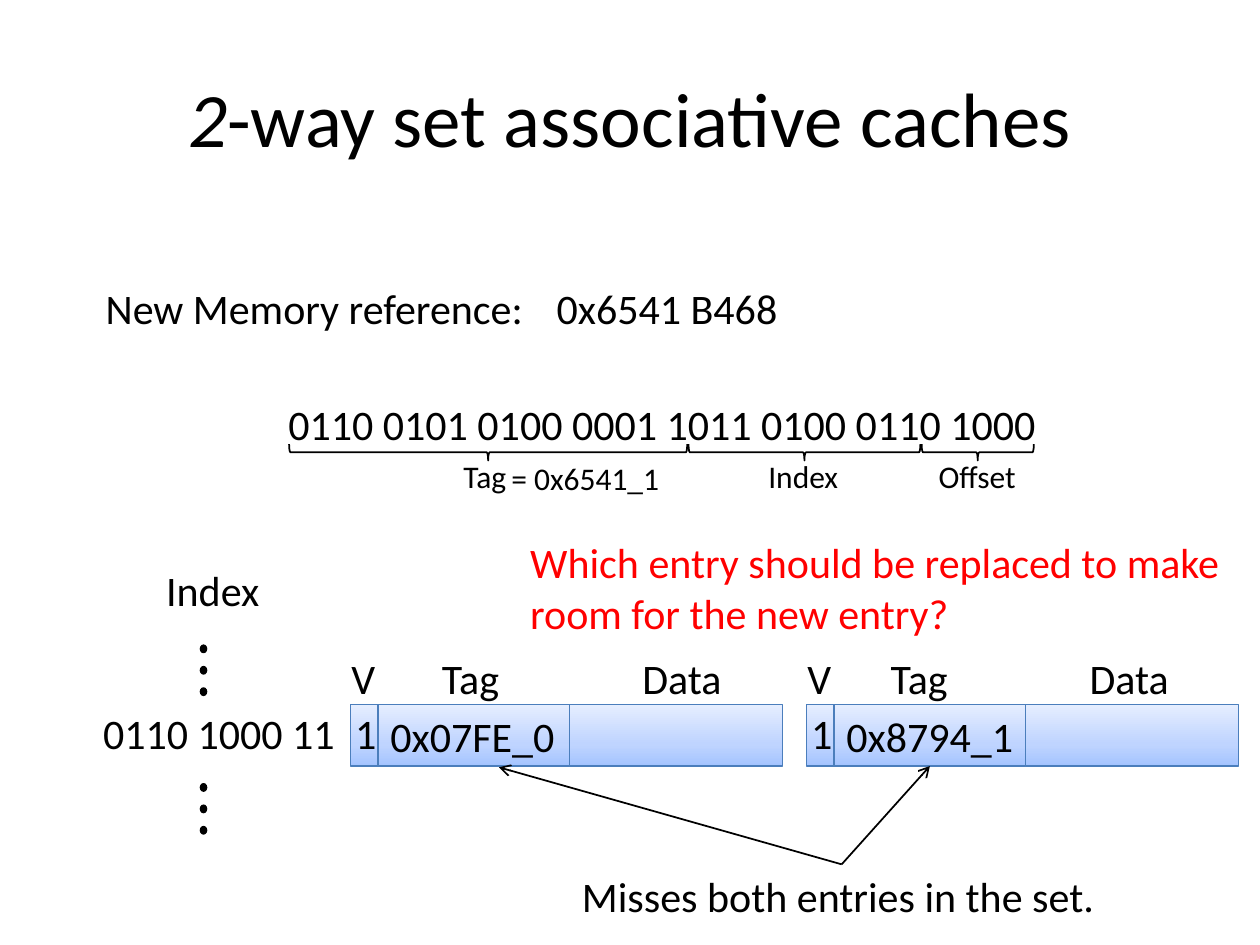
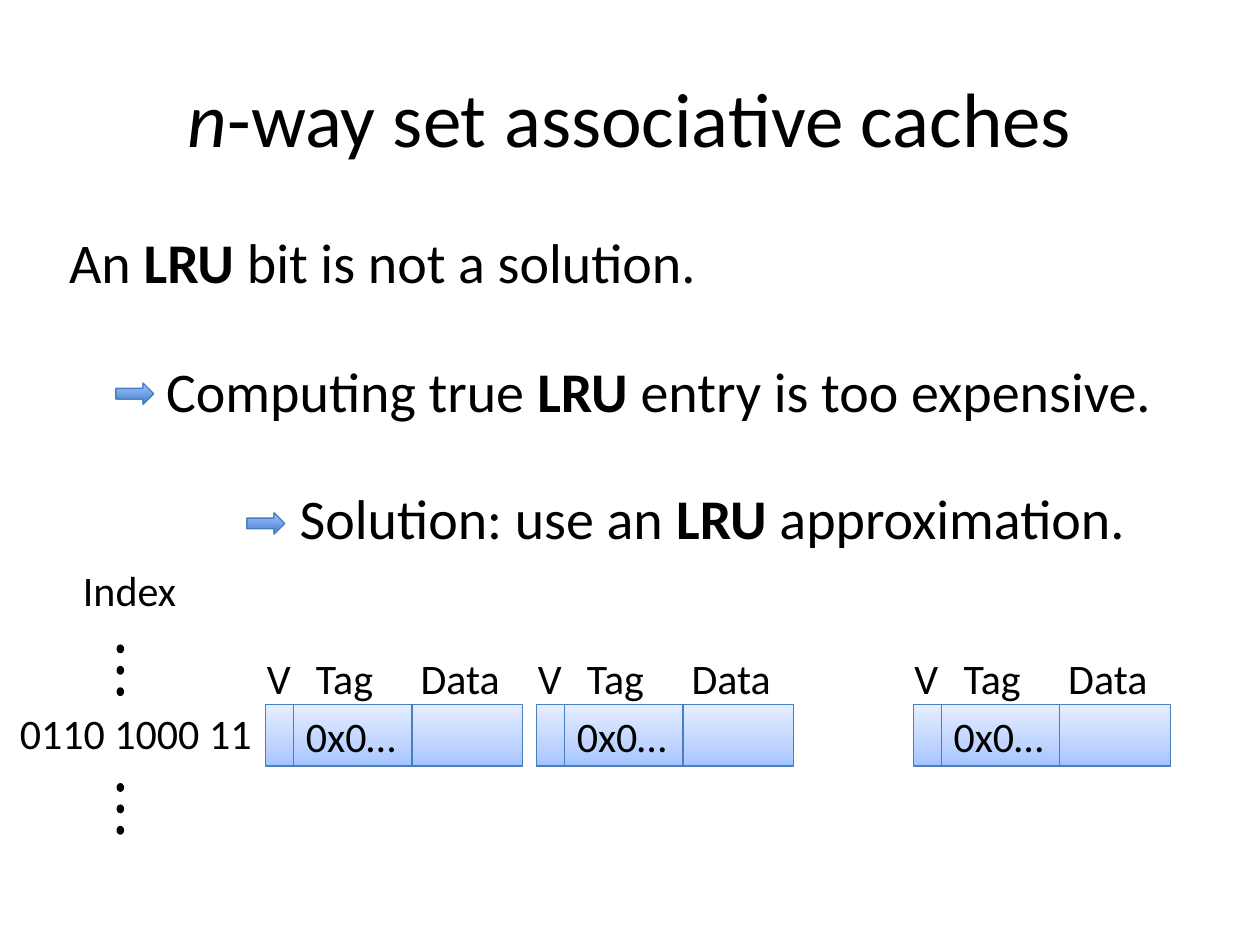
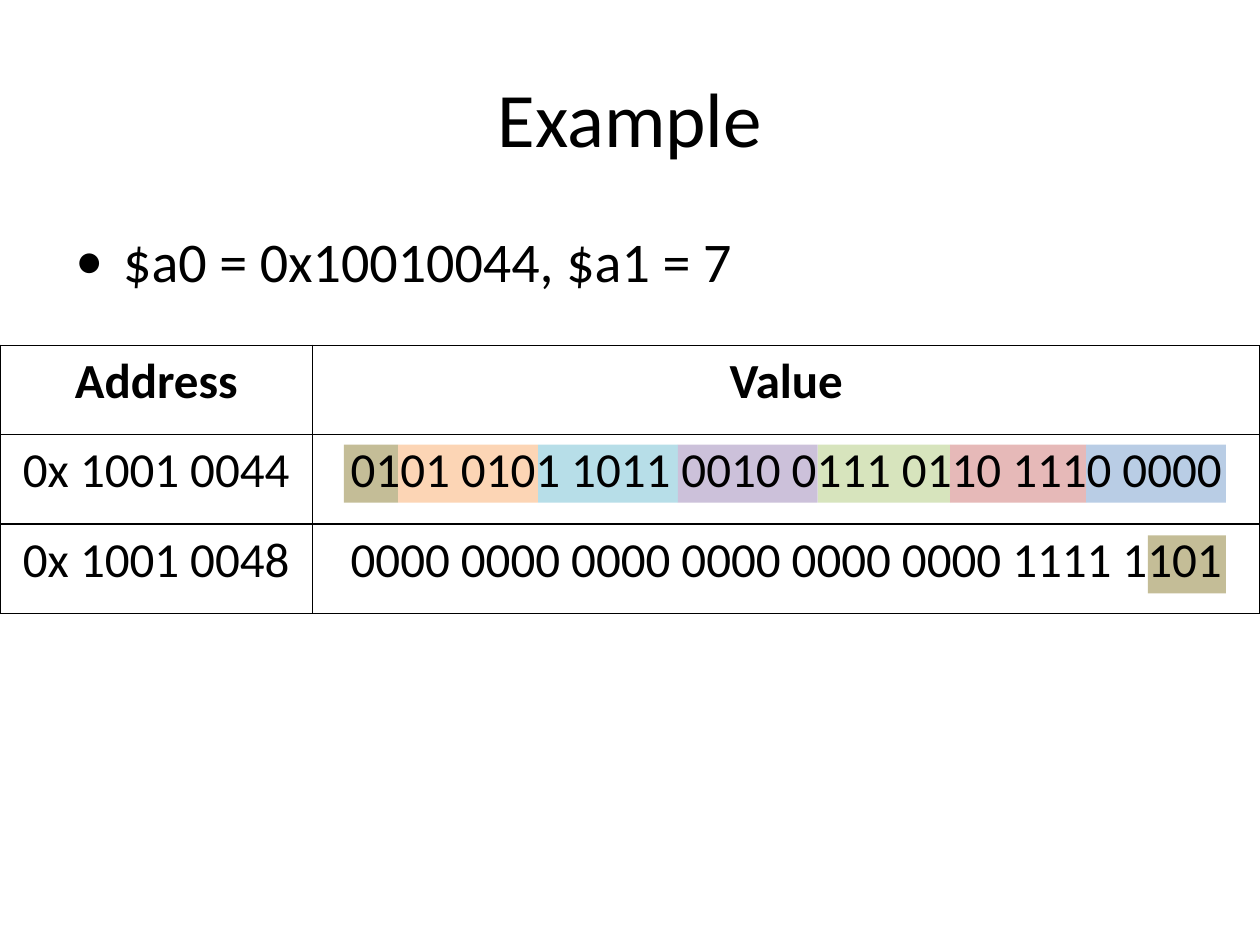
import pptx
import pptx.util
import pptx.dml.color
import pptx.enum.shapes
import pptx.enum.text
import pptx.oxml.ns
from lxml import etree

Inches, Pt = pptx.util.Inches, pptx.util.Pt
SHAPE = pptx.enum.shapes.MSO_SHAPE
ALIGN = pptx.enum.text.PP_ALIGN
ANCHOR = pptx.enum.text.MSO_ANCHOR
qn = pptx.oxml.ns.qn

W, H = 10, 7.5
FONT = "Calibri"
COLORS = {
    "text": "000000", "alert": "FF0000", "edge": "4B7EBC",
    "tan": "C4BD97", "orange": "FCD5B5", "aqua": "B7DEE8", "purple": "CCC1DA",
    "green": "D7E4BD", "red": "E6B9B8", "blue": "B9CDE5",
}
CELL_GRADIENT = [(0, "A4C4FF"), (35, "BFD4FF"), (100, "E6EEFF")]
ARROW_GRADIENT = [(0, "3F80CE"), (100, "A4C4FF")]

TITLES = [
    [("2", "i"), ("-way set associative caches", "")],
    [("n", "i"), ("-way set associative caches", "")],
    [("Example", "")],
]
INDEX = "0110 1000 11"
LABEL_WIDTHS = {"V": 0.4, "Tag": 0.66, "Data": 0.84}
ROW_TOP, ROW_H, LABEL_TOP, VALID_W = 5.59, 0.49, 5.13, 0.22

REFERENCE = [
    ("New Memory reference:", 0.74, 2.19, 3.55),
    ("0x6541 B468", 4.32, 2.19, 1.97),
    ("0110 0101 0100 0001 1011 0100 0110 1000", 2.19, 3.11, 6.19),
    ("Misses both entries in the set.", 4.52, 6.86, 4.31),
]
FIELD_EDGES = [2.29, 5.46, 7.31, 8.21]
FIELDS = [("Tag", 3.58, 0.54), ("Index", 6, 0.76), ("Offset", 7.35, 0.82)]
TWO_WAYS = [
    {"left": 2.78, "tag": "0x07FE_0", "text_w": 1.52, "valid": "1",
     "labels": (-0.09, 0.63, 2.22)},
    {"left": 6.4, "tag": "0x8794_1", "text_w": 1.56, "valid": "1",
     "labels": (-0.09, 0.57, 2.15)},
]
N_WAYS = [2.11, 4.26, 7.25]
MISS_FROM = (6.68, 6.86)
MISS_TO = [(3.96, 6.09), (7.38, 6.08)]

LRU_LINES = [
    ("An", "bit is not a solution.", 0.45, 1.76, 5.23),
    ("Computing true", "entry is too expensive.", 1.22, 2.78, 8.1),
    ("Solution: use an", "approximation.", 2.28, 3.79, 6.82),
]
LRU_ARROWS = [(0.92, 3.04), (1.96, 4.07)]

TABLE = [
    ("Address", "Value"),
    ("0x 1001 0044", "0101 0101 1011 0010 0111 0110 1110 0000"),
    ("0x 1001 0048", "0000 0000 0000 0000 0000 0000 1111 1101"),
]
COLUMNS, TABLE_TOP, TABLE_ROW = (2.48, 7.52), 2.74, 0.71
BAND_EDGES = [2.73, 3.16, 4.27, 5.38, 6.49, 7.54, 8.62, 9.73]
BANDS = ["tan", "orange", "aqua", "purple", "green", "red", "blue"]


def rgb(name):
    return pptx.dml.color.RGBColor.from_string(COLORS[name])


def style(p, size, color="text", bold=False):
    p.font.name, p.font.size, p.font.bold = FONT, Pt(size), bold
    p.font.color.rgb = rgb(color)


def add_text(slide, lines, x, y, w, size=24, color="text", h=None, wrap=False):
    lines = [lines] if isinstance(lines, str) else lines
    height = h or len(lines) * size / 60 + 0.1
    tb = slide.shapes.add_textbox(Inches(x), Inches(y), Inches(w), Inches(height))
    tf = tb.text_frame
    tf.word_wrap = wrap
    for i, line in enumerate(lines):
        p = tf.add_paragraph() if i else tf.paragraphs[0]
        style(p, size, color)
        for text, flag in [(line, "")] if isinstance(line, str) else line:
            r = p.add_run()
            r.text = text
            if flag == "i":
                r.font.italic = True
            if flag == "b":
                r.font.bold = True
    return tf


def add_shape(slide, kind, x, y, w, h, fill=None, line=None, weight=0.75):
    sp = slide.shapes.add_shape(kind, Inches(x), Inches(y), Inches(w), Inches(h))
    sp.shadow.inherit = False
    if isinstance(fill, list):
        sp.fill.gradient()
        sp.fill.gradient_angle = 90
        stops = sp._element.spPr.find(qn("a:gradFill")).find(qn("a:gsLst"))
        for stop in list(stops):
            stops.remove(stop)
        for pos, color in fill:
            stop = etree.SubElement(stops, qn("a:gs"), pos=str(pos * 1000))
            etree.SubElement(stop, qn("a:srgbClr"), val=color)
    elif fill:
        sp.fill.solid()
        sp.fill.fore_color.rgb = rgb(fill)
    else:
        sp.fill.background()
    if line:
        sp.line.color.rgb = rgb(line)
        sp.line.width = Pt(weight)
    else:
        sp.line.fill.background()
    return sp


def add_arrow(slide, start, end):
    ends = [Inches(v) for v in start + end]
    cx = slide.shapes.add_connector(pptx.enum.shapes.MSO_CONNECTOR.STRAIGHT, *ends)
    cx.line.color.rgb = rgb("text")
    cx.line.width = Pt(1)
    etree.SubElement(cx.line._get_or_add_ln(), qn("a:tailEnd"), type="arrow")
    etree.SubElement(cx._element.spPr, qn("a:effectLst"))


def add_slide(prs, title):
    slide = prs.slides.add_slide(prs.slide_layouts[6])
    tf = add_text(slide, [title], 0.05 * W, 0.04 * H, 0.9 * W, 44, h=H / 6, wrap=True)
    tf.vertical_anchor = ANCHOR.MIDDLE
    tf.paragraphs[0].alignment = ALIGN.CENTER
    return slide


def add_index(slide, x):
    add_text(slide, INDEX, x, 5.57, 2.06)
    add_text(slide, "Index", x + 0.5, 4.43, 0.95)
    for top in (5.12, 6.22):
        for i in range(3):
            add_shape(slide, SHAPE.OVAL, x + 0.87, top + i * 0.17, 0.05, 0.06, "text", "text")


def add_way(slide, left, tag, tag_w, data_w, text_w, labels, valid=None):
    x = left
    for w in (VALID_W, tag_w, data_w):
        add_shape(slide, SHAPE.RECTANGLE, x, ROW_TOP, w, ROW_H, CELL_GRADIENT, "edge")
        x += w
    add_text(slide, tag, left + VALID_W, ROW_TOP, text_w)
    for (label, w), dx in zip(LABEL_WIDTHS.items(), labels):
        add_text(slide, label, left + dx, LABEL_TOP, w)
    if valid:
        add_text(slide, valid, left - 0.06, ROW_TOP - 0.02, 0.37)


def build_two_way(prs):
    slide = add_slide(prs, TITLES[0])
    for text, x, y, w in REFERENCE:
        add_text(slide, text, x, y, w)
    for (label, x, w), a, b in zip(FIELDS, FIELD_EDGES, FIELD_EDGES[1:]):
        span = b - a - 0.01
        brace = add_shape(slide, SHAPE.LEFT_BRACE, (a + b - 0.13) / 2, 3.59 - span / 2,
                          0.13, span, line="text", weight=1)
        brace.rotation = 270
        add_text(slide, label, x, 3.58, w, 18)
    add_text(slide, "= 0x6541_1", 3.96, 3.59, 1.39, 18)
    for way in TWO_WAYS:
        add_way(slide, tag_w=1.52, data_w=1.69, **way)
    add_index(slide, 0.72)
    for end in MISS_TO:
        add_arrow(slide, MISS_FROM, end)
    add_text(slide, ["Which entry should be replaced to make", "room for the new entry?"],
             4.11, 4.21, 5.73, color="alert")


def build_n_way(prs):
    slide = add_slide(prs, TITLES[1])
    for left in N_WAYS:
        add_way(slide, left, "0x0…", 0.94, 0.88, 0.96, (-0.09, 0.3, 1.13))
    add_index(slide, 0.06)
    for before, after, x, y, w in LRU_LINES:
        add_text(slide, [[(before, ""), (" LRU ", "b"), (after, "")]], x, y, w, 32)
    for x, y in LRU_ARROWS:
        add_shape(slide, SHAPE.RIGHT_ARROW, x, y, 0.3, 0.17, ARROW_GRADIENT, "edge")


def add_borders(cell):
    tcPr = cell._tc.get_or_add_tcPr()
    for side in ("a:lnL", "a:lnR", "a:lnT", "a:lnB"):
        ln = etree.SubElement(tcPr, qn(side), w=str(Pt(1)))
        fill = etree.SubElement(ln, qn("a:solidFill"))
        etree.SubElement(fill, qn("a:srgbClr"), val=COLORS["text"])


def build_example(prs):
    slide = add_slide(prs, TITLES[2])
    for color, a, b in zip(BANDS, BAND_EDGES, BAND_EDGES[1:]):
        add_shape(slide, SHAPE.RECTANGLE, a, 3.53, b - a, 0.46, color)
    add_shape(slide, SHAPE.RECTANGLE, 9.11, 4.25, 0.62, 0.46, "tan")

    tf = add_text(slide, "$a0 = 0x10010044, $a1 = 7", 0.05 * W, 1.75, 0.9 * W, 32,
                  h=0.66 * H, wrap=True)
    p = tf.paragraphs[0]
    p.space_before = Pt(6.4)
    pPr = p._p.get_or_add_pPr()
    pPr.set("marL", str(Inches(0.38)))
    pPr.set("indent", str(Inches(-0.38)))
    defaults = pPr.find(qn("a:defRPr"))
    defaults.addprevious(etree.Element(qn("a:buFont"), typeface=FONT))
    defaults.addprevious(etree.Element(qn("a:buChar"), char="•"))

    table = slide.shapes.add_table(len(TABLE), len(COLUMNS), 0, Inches(TABLE_TOP),
                                   Inches(W), Inches(TABLE_ROW * len(TABLE))).table
    table.first_row = table.horz_banding = False
    for col, w in zip(table.columns, COLUMNS):
        col.width = Inches(w)
    for i, row in enumerate(TABLE):
        table.rows[i].height = Inches(TABLE_ROW)
        for j, text in enumerate(row):
            cell = table.cell(i, j)
            add_borders(cell)
            cell.fill.background()
            cell.text = text
            p = cell.text_frame.paragraphs[0]
            p.alignment = ALIGN.CENTER
            style(p, 28, bold=i == 0)


prs = pptx.Presentation()
prs.slide_width, prs.slide_height = Inches(W), Inches(H)
build_two_way(prs)
build_n_way(prs)
build_example(prs)
prs.save("out.pptx")
